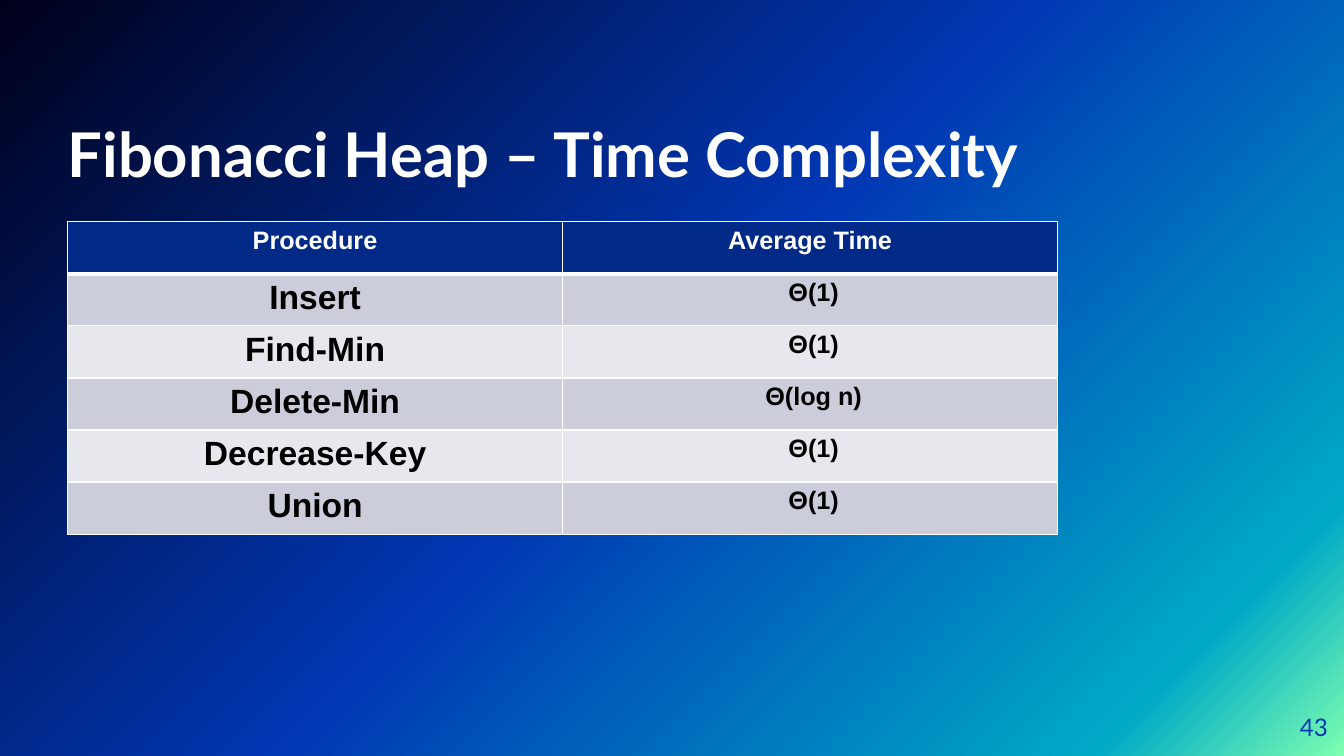
from dataclasses import dataclass

from lxml import etree
from pptx import Presentation, util as u
from pptx.dml.color import RGBColor
from pptx.enum import text
from pptx.oxml import ns


@dataclass(frozen=True)
class Theme:
    white: str = "FFFFFF"
    black: str = "000000"
    header: str = "002988"
    bands: tuple = ("CCCDDA", "E7E8ED")
    number: str = "0037B3"
    gradient: tuple = ((0, "7DFFB1"), (12, "00AAC6"), (51, "0037B3"), (100, "00001A"))
    heading_font: str = "Lato"
    table_font: str = "Arial"
    title_size: float = 44
    procedure_size: float = 24
    time_size: float = 18
    number_size: float = 17.3


theme = Theme()


def write(frame, words, font, size, color, align, bold=False):
    frame.text = words
    paragraph = frame.paragraphs[0]
    paragraph.alignment = align
    paragraph.font.name = font
    paragraph.font.size = u.Pt(size)
    paragraph.font.bold = bold
    paragraph.font.color.rgb = RGBColor.from_string(color)


def add_color(parent, color):
    fill = etree.SubElement(parent, ns.qn("a:solidFill"))
    etree.SubElement(fill, ns.qn("a:srgbClr"), val=color)


deck = Presentation()
deck.slide_width, deck.slide_height = u.Inches(13.33), u.Inches(7.5)
slide = deck.slides.add_slide(deck.slide_layouts[5])

backdrop = slide.background.fill
backdrop.gradient()
backdrop.gradient_angle = 135
stops = slide.background._cSld.find(".//" + ns.qn("a:gsLst"))
for stop in list(stops):
    stops.remove(stop)
for share, color in theme.gradient:
    stop = etree.SubElement(stops, ns.qn("a:gs"), pos=str(share * 1000))
    etree.SubElement(stop, ns.qn("a:srgbClr"), val=color)

left = u.Inches(0.67)
title = slide.shapes.title
title.left, title.top = left, u.Inches(0.63)
title.width, title.height = u.Inches(10.98), u.Inches(1.25)
page = slide.shapes.add_textbox(u.Inches(12.37), u.Inches(6.93), u.Inches(0.8), u.Inches(0.57))
for frame, anchor in (
    (title.text_frame, text.MSO_ANCHOR.BOTTOM),
    (page.text_frame, text.MSO_ANCHOR.MIDDLE),
):
    frame.margin_left = frame.margin_top = frame.margin_right = frame.margin_bottom = 0
    frame.vertical_anchor = anchor
    frame.word_wrap = True
    frame.auto_size = text.MSO_AUTO_SIZE.NONE
write(title.text_frame, "Fibonacci Heap – Time Complexity", theme.heading_font,
      theme.title_size, theme.white, text.PP_ALIGN.LEFT, bold=True)
write(page.text_frame, "43", theme.heading_font,
      theme.number_size, theme.number, text.PP_ALIGN.RIGHT)

complexities = [
    ("Procedure", "Average Time"),
    ("Insert", " Θ(1)"),
    ("Find-Min", " Θ(1)"),
    ("Delete-Min", " Θ(log n)"),
    ("Decrease-Key", " Θ(1)"),
    ("Union", " Θ(1)"),
]
column_width, row_height = u.Inches(4.91), u.Inches(3.1 / len(complexities))
table = slide.shapes.add_table(
    len(complexities), 2, left, u.Inches(2.2),
    2 * column_width, len(complexities) * row_height,
).table

for row, entries in enumerate(complexities):
    for column, words in enumerate(entries):
        cell = table.cell(row, column)
        is_header = row == 0
        size = theme.time_size if is_header or column == 1 else theme.procedure_size
        write(cell.text_frame, words, theme.table_font, size,
              theme.white if is_header else theme.black, text.PP_ALIGN.CENTER, bold=True)
        properties = cell._tc.get_or_add_tcPr()
        for side in "LRTB":
            below_header = (row, side) in ((0, "B"), (1, "T"))
            border = etree.SubElement(properties, ns.qn(f"a:ln{side}"),
                                      w=str(u.Pt(3 if below_header else 1)))
            add_color(border, theme.white)
        add_color(properties, theme.header if is_header else theme.bands[(row - 1) % 2])

deck.save("out.pptx")
